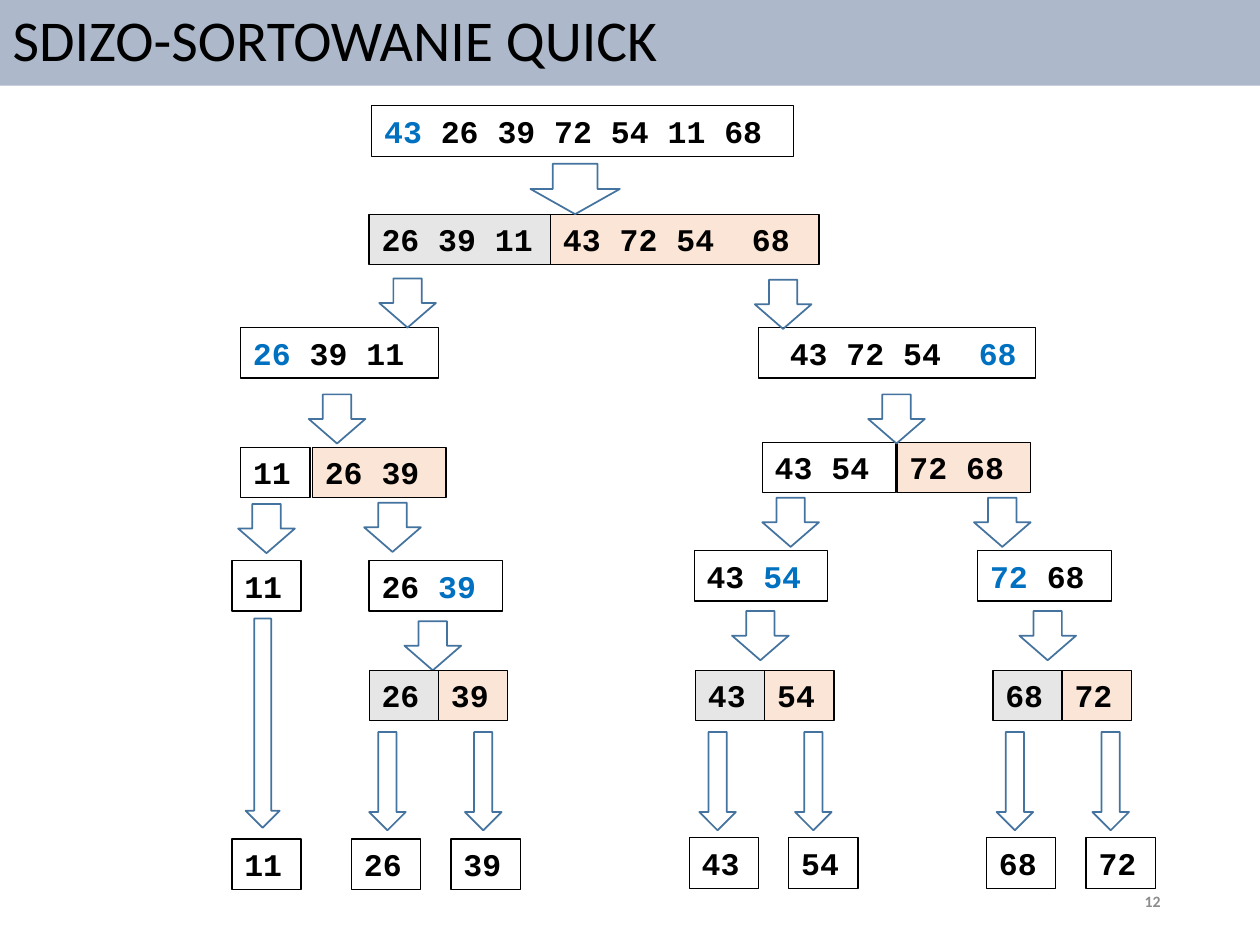
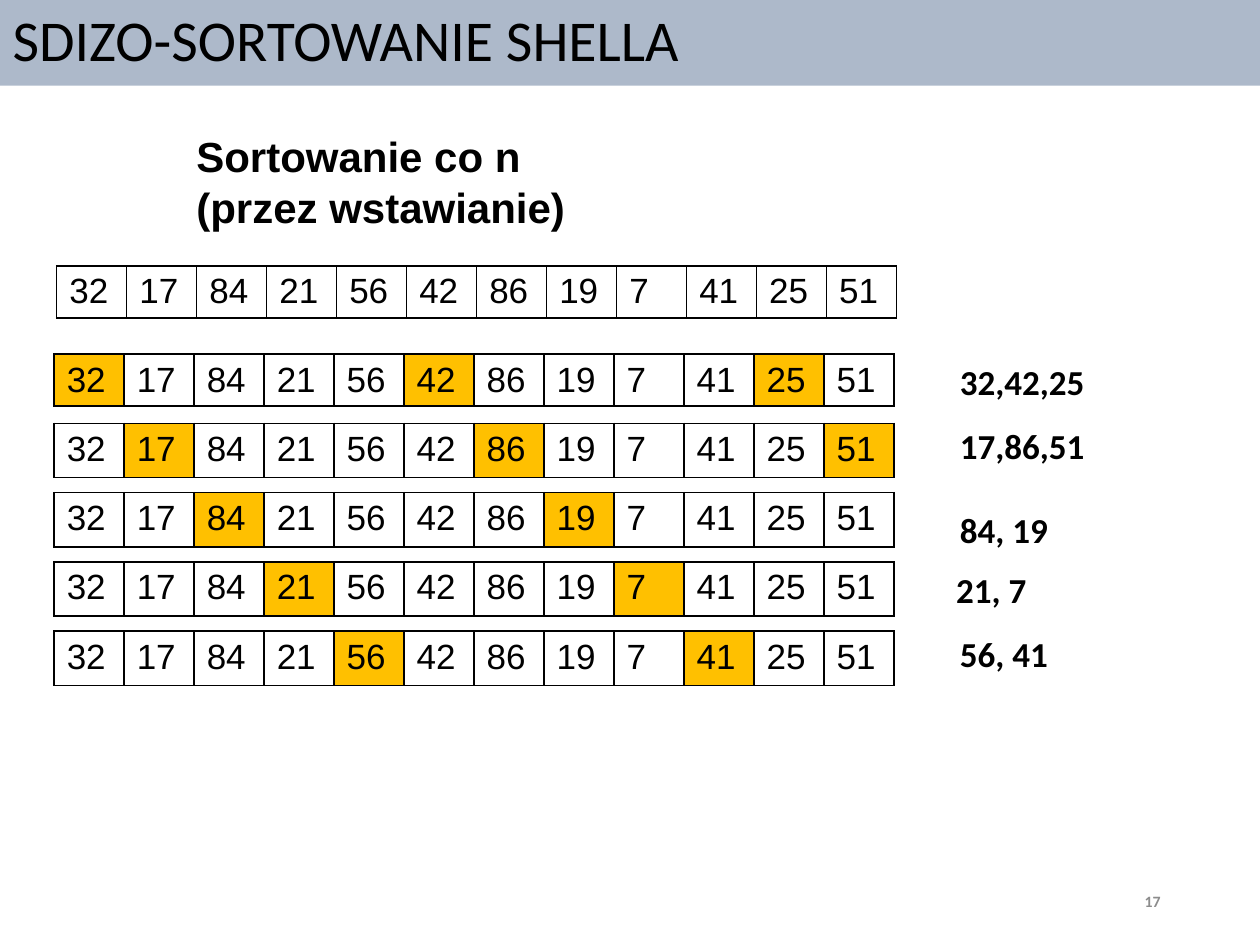
from lxml.etree import SubElement
from pptx import Presentation
from pptx.dml.color import RGBColor
from pptx.enum.shapes import MSO_SHAPE as Shape
from pptx.enum.text import MSO_ANCHOR as Anchor, PP_ALIGN as Align
from pptx.oxml.ns import qn
from pptx.util import Inches, Pt

BLACK = RGBColor(0x00, 0x00, 0x00)
WHITE = RGBColor(0xFF, 0xFF, 0xFF)
BAND = RGBColor(0xAD, 0xB9, 0xCA)
PIVOT = RGBColor(0x00, 0x70, 0xC0)
LOWER = RGBColor(0xE7, 0xE6, 0xE6)
UPPER = RGBColor(0xFB, 0xE5, 0xD6)
ARROW = RGBColor(0x43, 0x73, 0x9E)
HIGHLIGHT = RGBColor(0xFF, 0xC0, 0x00)
PAGE_GREY = RGBColor(0x8C, 0x8C, 0x8C)

SINGLE, PAIR, BOX_HEIGHT = 0.55, 1.06, 0.4

LISTS = [
    (1.11, 0, 3.35, "43 26 39 72 54 11 68", "43", WHITE),
    (1.09, 0.86, 1.44, "26 39 11", None, LOWER),
    (2.53, 0.86, 2.13, "43 72 54  68", None, UPPER),
    (0.07, 1.76, 1.57, "26 39 11", "26", WHITE),
    (4.18, 1.76, 2.2, " 43 72 54  68", "68", WHITE),
    (0.07, 2.71, SINGLE, "11", None, WHITE),
    (0.64, 2.71, PAIR, "26 39", None, UPPER),
    (4.21, 2.67, PAIR, "43 54", None, WHITE),
    (5.28, 2.67, PAIR, "72 68", None, UPPER),
    (0, 3.61, SINGLE, "11", None, WHITE),
    (1.09, 3.61, PAIR, "26 39", "39", WHITE),
    (3.67, 3.53, PAIR, "43 54", "54", WHITE),
    (5.92, 3.53, PAIR, "72 68", "72", WHITE),
    (0, 5.82, SINGLE, "11", None, WHITE),
]
SPLIT_ARROWS = [
    (1.17, 1.37), (4.15, 1.38), (0.61, 2.29), (5.05, 2.29),
    (0.05, 3.16), (1.05, 3.15), (4.21, 3.11), (5.89, 3.11),
    (1.37, 4.09), (3.97, 4.01), (6.25, 4.01),
]
LAST_SPLITS = [
    (("26", "39"), 1.09, 1.09, 0.95, 5.82),
    (("43", "54"), 3.68, 3.71, 3.63, 5.81),
    (("68", "72"), 6.04, 6.07, 5.99, 5.81),
]

NUMBERS = [32, 17, 84, 21, 56, 42, 86, 19, 7, 41, 25, 51]
STEP = 5
SUBLISTS = [
    ("32,42,25", 7.09, 0),
    ("17,86,51", 7.09, 0.51),
    ("84, 19", 7.09, 1.18),
    ("21, 7", 7.06, 1.65),
    ("56, 41", 7.09, 2.16),
]


def format_run(run, font_name, size, color=BLACK, bold=False):
    """Set the font of one run."""
    run.font.name = font_name
    run.font.size = Pt(size)
    run.font.color.rgb = color
    run.font.bold = bold


def add_text(slide, left, top, width, height, text, font_name, size,
             color=BLACK, align=Align.LEFT, anchor=Anchor.TOP):
    """Add a bold text box, one paragraph for each line of text."""
    shape = slide.shapes.add_textbox(Inches(left), Inches(top), Inches(width), Inches(height))
    text_frame = shape.text_frame
    text_frame.word_wrap = True
    text_frame.vertical_anchor = anchor
    text_frame.text = text
    for paragraph in text_frame.paragraphs:
        paragraph.alignment = align
        format_run(paragraph.runs[0], font_name, size, color, True)


def add_titled_slide(presentation, title, page_number):
    """Add a slide with the title band and the page number."""
    slide = presentation.slides.add_slide(presentation.slide_layouts[5])
    band = slide.shapes.title
    band.left, band.top = Inches(0), Inches(0)
    band.width, band.height = presentation.slide_width, Inches(0.68)
    band.fill.solid()
    band.fill.fore_color.rgb = BAND
    band.text_frame.text = title
    band.text_frame.vertical_anchor = Anchor.MIDDLE
    paragraph = band.text_frame.paragraphs[0]
    paragraph.alignment = Align.LEFT
    paragraph.line_spacing = 0.9
    format_run(paragraph.runs[0], "Calibri", 33)
    add_text(slide, 7.06, 6.95, 2.25, 0.4, str(page_number), "Calibri", 9,
             PAGE_GREY, Align.RIGHT, Anchor.MIDDLE)
    return slide


def add_list_box(slide, left, top, width, text, pivot=None, fill=WHITE):
    """Add a box of numbers with the pivot in blue."""
    shape = slide.shapes.add_shape(Shape.RECTANGLE, Inches(left), Inches(top),
                                   Inches(width), Inches(BOX_HEIGHT))
    shape.shadow.inherit = False
    shape.fill.solid()
    shape.fill.fore_color.rgb = fill
    shape.line.color.rgb = BLACK
    shape.line.width = Pt(0.75)
    shape.text_frame.word_wrap = True
    shape.text_frame.vertical_anchor = Anchor.TOP
    paragraph = shape.text_frame.paragraphs[0]
    paragraph.alignment = Align.LEFT
    before, found, after = text.partition(pivot) if pivot else (text, "", "")
    for part, color in ((before, BLACK), (found, PIVOT), (after, BLACK)):
        if part:
            run = paragraph.add_run()
            run.text = part
            format_run(run, "Courier New", 18, color, True)


def add_down_arrow(slide, left, top, width=0.45, height=0.39):
    """Add an outlined arrow that points down."""
    shape = slide.shapes.add_shape(Shape.DOWN_ARROW, Inches(left), Inches(top),
                                   Inches(width), Inches(height))
    shape.shadow.inherit = False
    shape.fill.background()
    shape.line.color.rgb = ARROW
    shape.line.width = Pt(1)


def draw_quick_tree(slide, left, top):
    """Draw the tree of lists that quicksort splits."""
    for x, y, width, text, pivot, fill in LISTS:
        add_list_box(slide, left + x, top + y, width, text, pivot, fill)
    add_down_arrow(slide, left + 2.37, top + 0.46, 0.71, 0.4)
    add_down_arrow(slide, left + 0.11, top + 4.07, 0.27, 1.66)
    for x, y in SPLIT_ARROWS:
        add_down_arrow(slide, left + x, top + y)
    for numbers, split_x, arrow_x, leaf_x, leaf_y in LAST_SPLITS:
        for index, (number, fill) in enumerate(zip(numbers, (LOWER, UPPER))):
            add_list_box(slide, left + split_x + 0.55 * index, top + 4.48,
                         SINGLE, number, fill=fill)
            add_down_arrow(slide, left + arrow_x + 0.76 * index, top + 4.97, 0.29, 0.78)
            add_list_box(slide, left + leaf_x + 0.79 * index, top + leaf_y, SINGLE, number)


def add_cell_borders(cell):
    """Give a cell thin black borders on all sides."""
    properties = cell._tc.get_or_add_tcPr()
    for position, side in enumerate(("a:lnL", "a:lnR", "a:lnT", "a:lnB")):
        line = SubElement(properties, qn(side), w=str(Pt(1)))
        fill = SubElement(line, qn("a:solidFill"))
        SubElement(fill, qn("a:srgbClr"), val=str(BLACK))
        properties.insert(position, line)


def add_number_row(slide, left, top, height, highlighted=()):
    """Add the numbers as a one-row table with some cells highlighted."""
    frame = slide.shapes.add_table(1, len(NUMBERS), Inches(left), Inches(top),
                                   Inches(6.67), Inches(height))
    table = frame.table
    table.first_row = table.horz_banding = False
    for index, number in enumerate(NUMBERS):
        cell = table.cell(0, index)
        cell.margin_top, cell.margin_bottom = Inches(0.05), Inches(0.03)
        cell.text_frame.text = str(number)
        format_run(cell.text_frame.paragraphs[0].runs[0], "Arial", 20)
        if index in highlighted:
            cell.fill.solid()
            cell.fill.fore_color.rgb = HIGHLIGHT
        else:
            cell.fill.background()
        add_cell_borders(cell)


def draw_shell_passes(slide, left, top):
    """Draw one row of numbers for each sublist, with its label."""
    for start, (label, x, y) in enumerate(SUBLISTS):
        add_number_row(slide, left, top + 0.55 * start, 0.43 if start else 0.41,
                       range(start, len(NUMBERS), STEP))
        add_text(slide, left + x, top + y, 1.42, 0.44, label, "Calibri", 20)


def main():
    """Build both slides and save them."""
    presentation = Presentation()
    presentation.slide_width, presentation.slide_height = Inches(10), Inches(7.5)

    quick = add_titled_slide(presentation, "SDIZO-SORTOWANIE QUICK", 12)
    draw_quick_tree(quick, 1.84, 0.84)

    shell = add_titled_slide(presentation, "SDIZO-SORTOWANIE SHELLA", 17)
    add_text(shell, 1.46, 0.99, 4.49, 0.91, "Sortowanie co n\n(przez wstawianie)", "Arial", 24)
    add_number_row(shell, 0.45, 2.11, 0.41)
    draw_shell_passes(shell, 0.43, 2.81)

    presentation.save("out.pptx")


if __name__ == "__main__":
    main()
